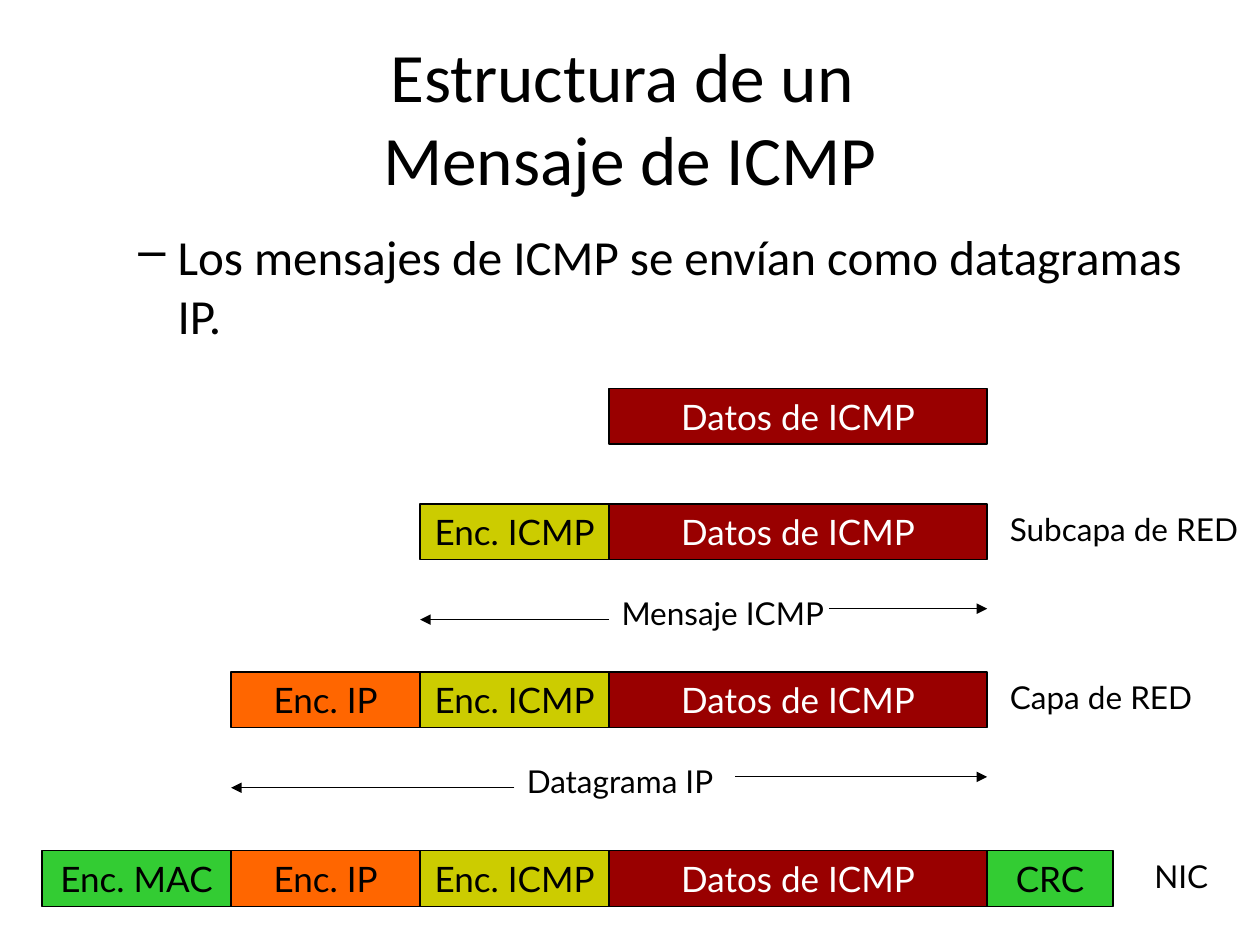
from typing import NamedTuple

from lxml.etree import SubElement
from pptx import Presentation
from pptx.dml.color import RGBColor
from pptx.enum.shapes import MSO_CONNECTOR as Link, MSO_SHAPE as Shape
from pptx.enum.text import MSO_ANCHOR as Anchor, PP_ALIGN as Align
from pptx.oxml.ns import qn
from pptx.util import Cm, Pt

BLACK, WHITE = "000000", "FFFFFF"
LEFT, UNIT, HIGH = 0.85, 3.81, 1.12  # first column, column width, row height
END = LEFT + 5 * UNIT  # right edge of the data field


class Field(NamedTuple):
    text: str
    left: float
    width: float
    fill: str
    ink: str = BLACK


class Span(NamedTuple):
    text: str
    top: float
    left: float
    start: float
    resume: float


class Label(NamedTuple):
    text: str
    left: float
    top: float
    width: float
    align: Align = Align.LEFT


MAC = Field("Enc. MAC", LEFT, UNIT, "33CC33")
IP = Field("Enc. IP", LEFT + UNIT, UNIT, "FF6600")
ICMP = Field("Enc. ICMP", LEFT + 2 * UNIT, UNIT, "CCCC00")
DATA = Field("Datos de ICMP", LEFT + 3 * UNIT, 2 * UNIT, "990000", WHITE)
CRC = Field("CRC", END, 2.54, "33CC33")

ROWS = {
    7.83: [DATA],
    10.16: [ICMP, DATA],
    13.55: [IP, ICMP, DATA],
    17.15: [MAC, IP, ICMP, DATA, CRC],
}
LABELS = [
    Label("Subcapa de RED", 20.11, 10.16, 5.29),
    Label("Capa de RED", 20.11, 13.55, 5.29),
    Label("NIC", 22.65, 17.15, 2.33, Align.CENTER),
]
SPANS = [
    Span("Mensaje ICMP", 11.85, DATA.left, ICMP.left, 16.72),
    Span("Datagrama IP", 15.24, 10.37, IP.left, 14.82),
]


def color(code: str) -> RGBColor:
    return RGBColor.from_string(code)


def write(frame, text: str, size: float, face: str, ink: str, align: Align):
    frame.word_wrap = True
    para = frame.paragraphs[0]
    para.text = text
    para.alignment = align
    for key, value in {"size": Pt(size), "name": face}.items():
        setattr(para.font, key, value)
    para.font.color.rgb = color(ink)
    return para


def add_text(slide, label: Label, high: float = 1.02, size: float = 18,
             face: str = "Lato"):
    box = slide.shapes.add_textbox(
        *map(Cm, (label.left, label.top, label.width, high)))
    para = write(box.text_frame, label.text, size, face, BLACK, label.align)
    return box.text_frame, para


def add_field(slide, field: Field, top: float) -> None:
    box = slide.shapes.add_shape(
        Shape.RECTANGLE, *map(Cm, (field.left, top, field.width, HIGH)))
    box.shadow.inherit = False
    box.fill.solid()
    box.fill.fore_color.rgb = color(field.fill)
    box.line.color.rgb = color(BLACK)
    box.line.width = Pt(0.75)
    write(box.text_frame, field.text, 20, "Lato", field.ink, Align.CENTER)


def add_arrow(slide, start: float, end: float, top: float) -> None:
    line = slide.shapes.add_connector(
        Link.STRAIGHT, *map(Cm, (start, top, end, top)))
    line.line.color.rgb = color(BLACK)
    line.line.width = Pt(0.75)
    props = line._element.spPr
    SubElement(props.find(qn("a:ln")), qn("a:tailEnd"), type="triangle")
    SubElement(props, qn("a:effectLst"))


def add_span(slide, span: Span) -> None:
    """Draw a caption with an arrow out to each side."""
    add_text(slide, Label(span.text, span.left, span.top, 5.29))
    add_arrow(slide, span.left, span.start, span.top + 0.64)
    add_arrow(slide, span.resume, END, span.top + 0.42)


def add_heads(slide) -> None:
    title = Label("Estructura de un \vMensaje de ICMP",
                  1.27, 0.76, 22.86, Align.CENTER)
    frame, _ = add_text(slide, title, 3.18, 39.6, "Calibri")
    frame.vertical_anchor = Anchor.MIDDLE

    body = Label("Los mensajes de ICMP se envían como datagramas IP.",
                 1.27, 4.45, 22.86)
    frame, para = add_text(slide, body, 12.57, 28, "Calibri")
    props = para._p.get_or_add_pPr()
    props.set("marL", str(Cm(2.06)))
    props.set("indent", str(Cm(-0.79)))
    # The bullet must come before the default run format
    for old in props.findall(qn("a:defRPr")):
        props.remove(old)
        SubElement(props, qn("a:buChar"), char="–")
        props.append(old)


def main() -> None:
    deck = Presentation()
    deck.slide_width, deck.slide_height = Cm(25.4), Cm(19.05)
    slide = deck.slides.add_slide(deck.slide_layouts[6])
    add_heads(slide)
    for top, fields in ROWS.items():
        for field in fields:
            add_field(slide, field, top)
    for label in LABELS:
        add_text(slide, label)
    for span in SPANS:
        add_span(slide, span)
    deck.save("out.pptx")


if __name__ == "__main__":
    main()
